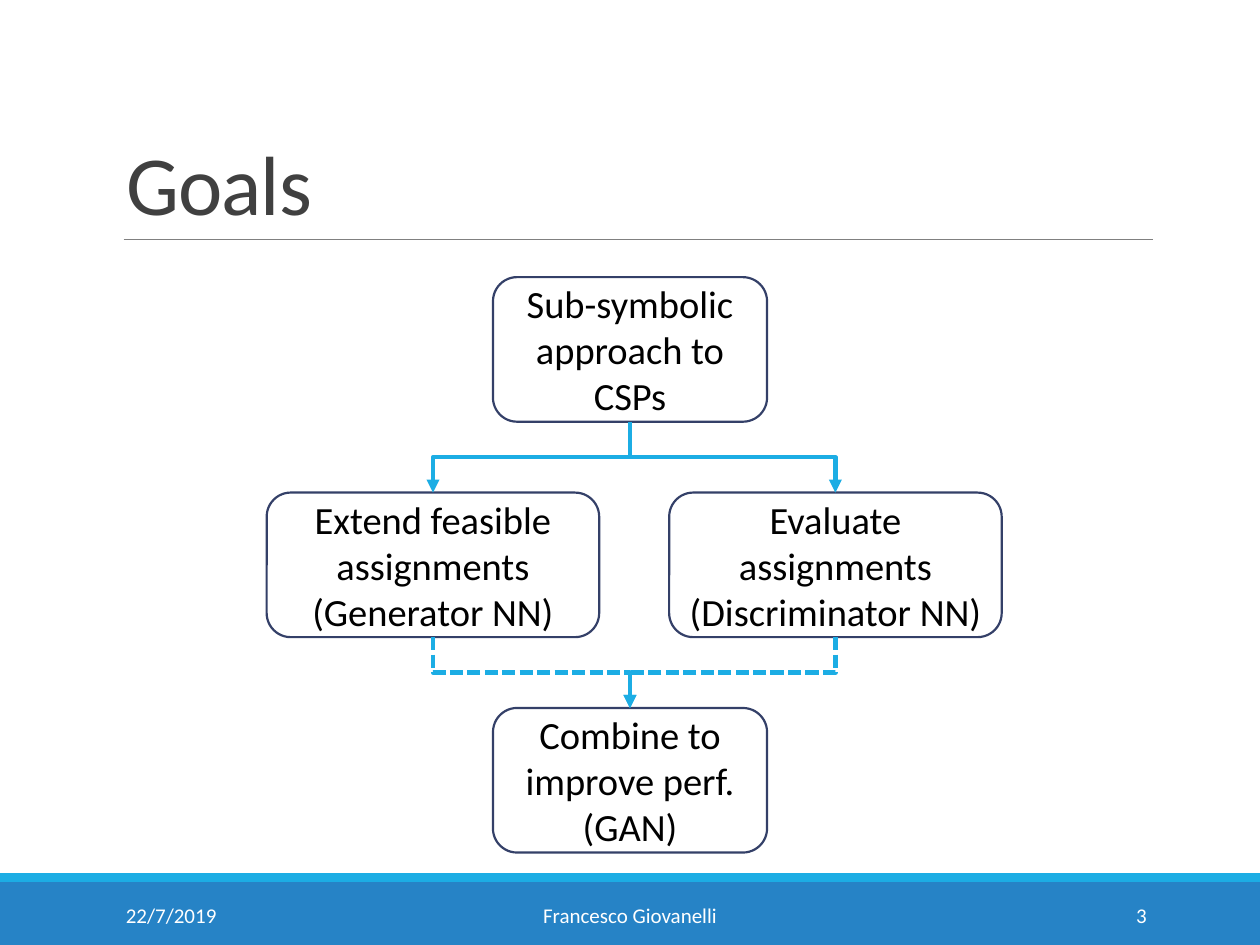
from pptx import Presentation
from pptx.dml.color import RGBColor
from pptx.enum.dml import MSO_LINE
from pptx.enum.shapes import MSO_CONNECTOR, MSO_SHAPE
from pptx.enum.text import MSO_ANCHOR as ANCHOR, PP_ALIGN as ALIGN
from pptx.oxml.ns import qn
from pptx.util import Pt
from lxml.etree import SubElement

FONT = "Calibri"
BLUE, DARK_BLUE, OUTLINE = "1CADE4", "2683C6", "344068"
TITLE = "Goals"

# name: (text, centre x, row, width)
BOXES = {
    "approach": ("Sub-symbolic approach to CSPs", 360, 0, 156.6),
    "generator": ("Extend feasible assignments (Generator NN)", 247.4, 1, 190),
    "discriminator": ("Evaluate assignments (Discriminator NN)", 477.4, 1, 190),
    "gan": ("Combine to improve perf. (GAN)", 360, 2, 156.6),
}
ROW_TOP, ROW_PITCH, BOX_H = 158.4, 123.1, 82.6

# from, to, dashed
ARROWS = [
    ("approach", "generator", False),
    ("approach", "discriminator", False),
    ("generator", "gan", True),
    ("discriminator", "gan", True),
]

# text, left, width, alignment
FOOTER = [
    ("22/7/2019", 64.8, 146, ALIGN.LEFT),
    ("Francesco Giovanelli", 217.4, 285.2, ALIGN.CENTER),
    ("3", 584.6, 77.8, ALIGN.RIGHT),
]


def rgb(value):
    return RGBColor.from_string(value)


def write(shape, text, size, color, align, anchor):
    tf = shape.text_frame
    tf.text = text
    tf.word_wrap = True
    tf.vertical_anchor = anchor
    p = tf.paragraphs[0]
    p.alignment = align
    font = p.runs[0].font
    font.name, font.size = FONT, Pt(size)
    font.color.rgb = rgb(color)
    return p


def add_block(s, kind, left, top, width, height, fill, line=None):
    sp = s.shapes.add_shape(kind, Pt(left), Pt(top), Pt(width), Pt(height))
    sp.shadow.inherit = False
    sp.fill.solid()
    sp.fill.fore_color.rgb = rgb(fill)
    if line:
        sp.line.color.rgb = rgb(line)
        sp.line.width = Pt(1.25)
    else:
        sp.line.fill.background()
    return sp


def add_line(s, kind, ends, color, width):
    line = s.shapes.add_connector(kind, *(Pt(v) for v in ends))
    line.line.color.rgb = rgb(color)
    line.line.width = Pt(width)
    SubElement(line._element.spPr, qn("a:effectLst"))
    return line


def add_arrow(s, start, end, dashed):
    """Elbow arrow from the bottom of one box to the top of a lower one."""
    x1, y1 = start.left + start.width // 2, start.top + start.height
    x2, y2 = end.left + end.width // 2, end.top
    arrow = add_line(s, MSO_CONNECTOR.ELBOW, (0, 0, 0, 0), BLUE, 2.5)
    arrow.begin_connect(start, 2)
    arrow.end_connect(end, 0)
    # The elbow leaves sideways by default, so its frame is turned upright
    arrow.width, arrow.height = y2 - y1, abs(x2 - x1)
    arrow.left = (x1 + x2 - arrow.width) // 2
    arrow.top = (y1 + y2 - arrow.height) // 2
    rightward = x2 > x1
    xfrm = arrow._element.spPr.find(qn("a:xfrm"))
    xfrm.set("rot", str((270 if rightward else 90) * 60000))
    xfrm.set("flipH", "1" if rightward else "0")
    xfrm.set("flipV", "0")
    if dashed:
        arrow.line.dash_style = MSO_LINE.SQUARE_DOT
    ln = arrow._element.spPr.find(qn("a:ln"))
    SubElement(ln, qn("a:tailEnd"), type="triangle")


prs = Presentation()
prs.slide_width, prs.slide_height = Pt(720), Pt(540)
s = prs.slides.add_slide(prs.slide_layouts[5])

add_block(s, MSO_SHAPE.RECTANGLE, 0, 504, 720, 36, DARK_BLUE)
add_block(s, MSO_SHAPE.RECTANGLE, 0, 499, 720, 5, BLUE)
add_line(s, MSO_CONNECTOR.STRAIGHT, (70.6, 136.8, 658.8, 136.8), "808080", 0.5)

title = s.shapes.title
title.left, title.top, title.width, title.height = Pt(64.8), Pt(22.3), Pt(594), Pt(114.5)
p = write(title, TITLE, 48, "404040", ALIGN.LEFT, ANCHOR.BOTTOM)
p.line_spacing = 0.85
p.runs[0].font._element.set("spc", "-50")

for text, left, width, align in FOOTER:
    box = s.shapes.add_textbox(Pt(left), Pt(508.3), Pt(width), Pt(28.8))
    write(box, text, 12, "FFFFFF", align, ANCHOR.MIDDLE)

boxes = {}
for name, (text, center, row, width) in BOXES.items():
    boxes[name] = add_block(s, MSO_SHAPE.ROUNDED_RECTANGLE, center - width / 2,
                            ROW_TOP + row * ROW_PITCH, width, BOX_H, "FFFFFF", OUTLINE)
    write(boxes[name], text, 22, "000000", ALIGN.CENTER, ANCHOR.MIDDLE)

for start, end, dashed in ARROWS:
    add_arrow(s, boxes[start], boxes[end], dashed)

prs.save("out.pptx")
